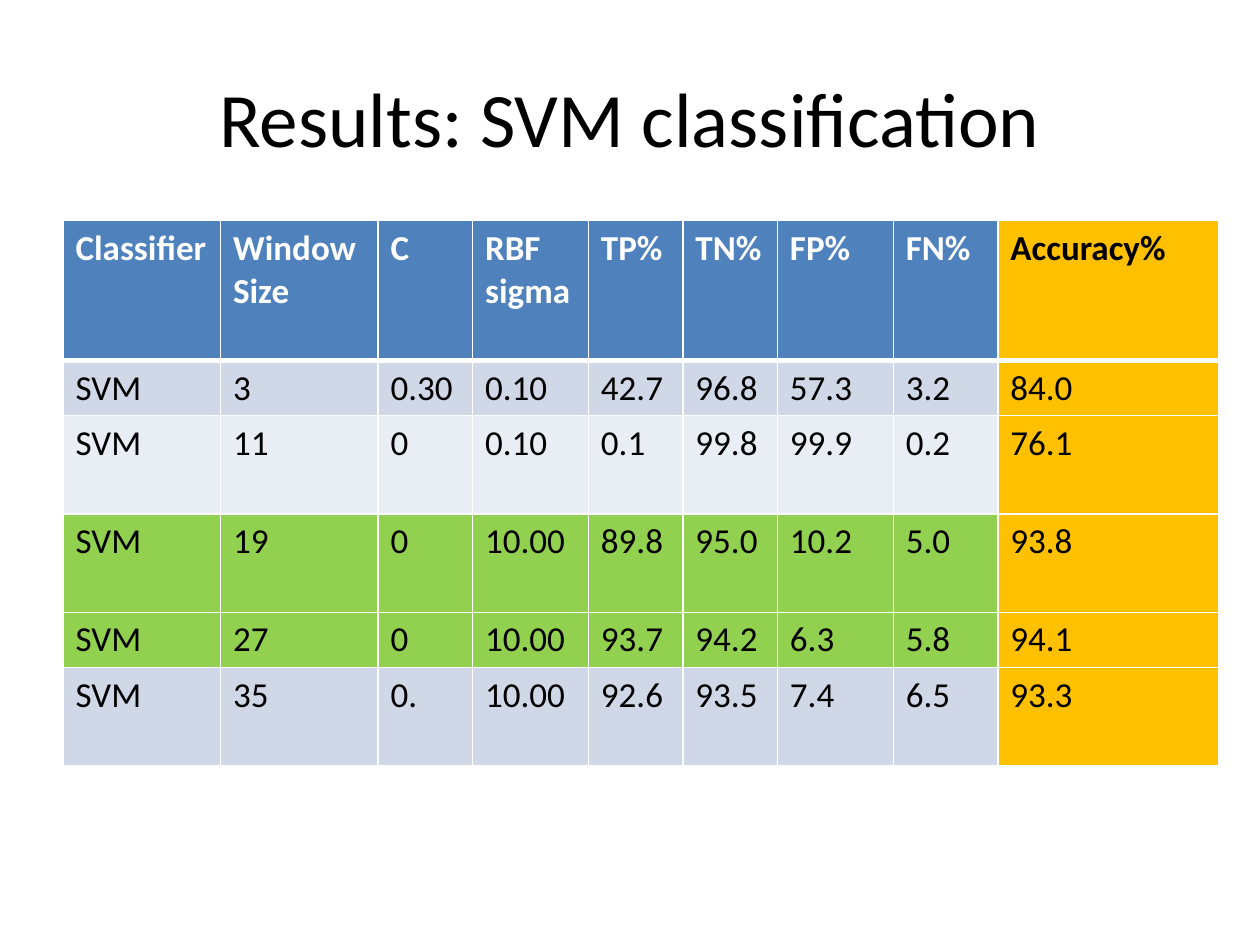
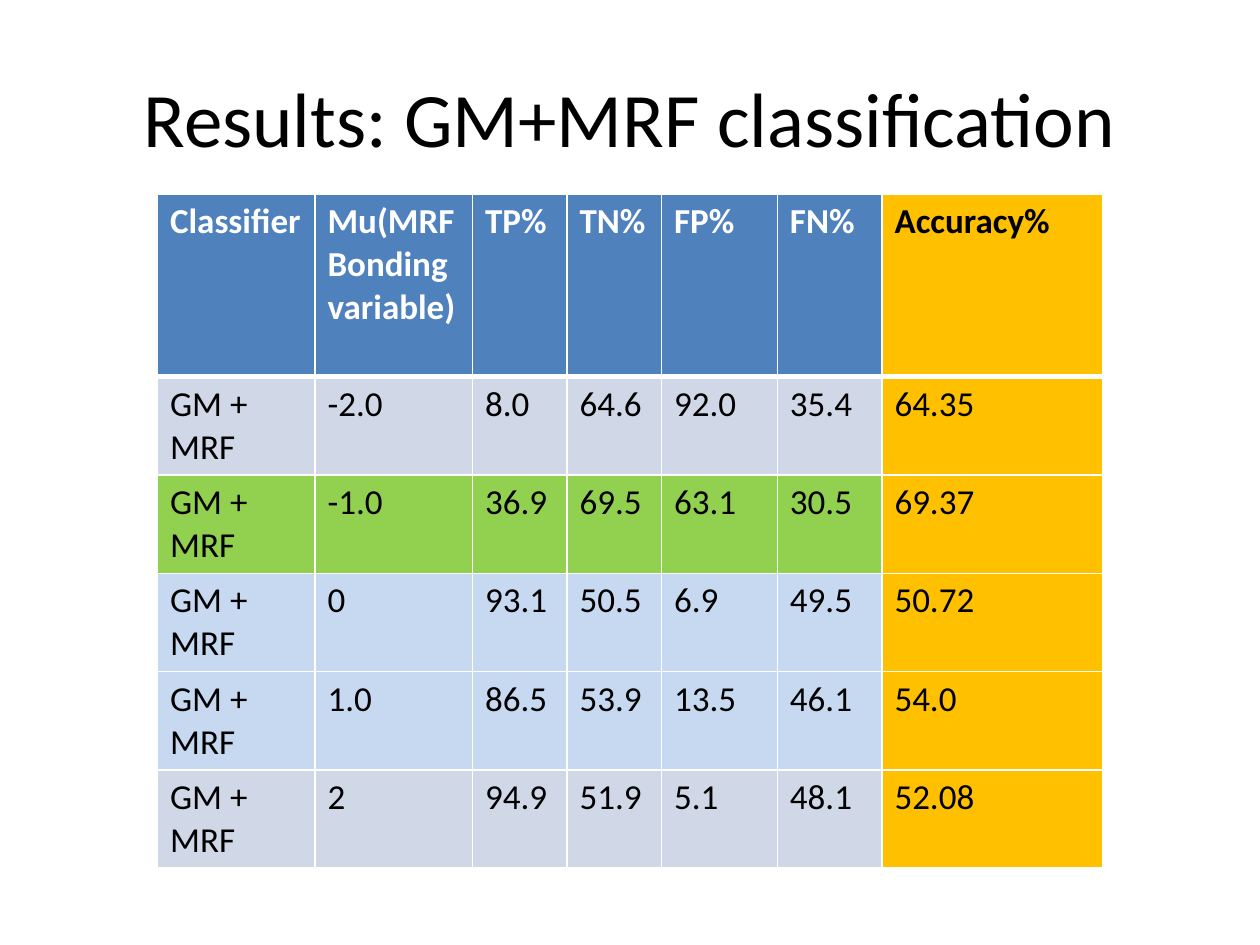
"""Build two slides of classification results, each a title over a table."""
import dataclasses

import lxml.etree
import pptx
import pptx.dml.color
import pptx.enum.text
import pptx.oxml.ns
import pptx.util
from pptx.util import Inches


@dataclasses.dataclass(frozen=True)
class Theme:
    font: str = "Calibri"
    title_size: int = 44
    cell_size: int = 20
    black: str = "000000"
    white: str = "FFFFFF"
    header: str = "4F81BD"
    accuracy: str = "FFC000"
    band_dark: str = "D0D8E8"
    band_light: str = "E9EDF4"
    best: str = "92D050"
    pale_blue: str = "C6D9F1"
    grid_width: float = 1
    header_rule_width: float = 3


theme = Theme()


def set_font(paragraph, size, color, bold=False):
    paragraph.font.name = theme.font
    paragraph.font.size = pptx.util.Pt(size)
    paragraph.font.bold = bold
    paragraph.font.color.rgb = pptx.dml.color.RGBColor.from_string(color)


def add_border(cell, side, width):
    properties = cell._tc.get_or_add_tcPr()
    line = lxml.etree.SubElement(properties, pptx.oxml.ns.qn(f"a:ln{side}"), w=str(pptx.util.Pt(width)))
    fill = lxml.etree.SubElement(line, pptx.oxml.ns.qn("a:solidFill"))
    lxml.etree.SubElement(fill, pptx.oxml.ns.qn("a:srgbClr"), val=theme.white)


column_widths = {
    "Classifier": 1.25, "Window Size": 1.25, "Mu(MRF Bonding variable)": 1.25,
    "C": 0.75, "RBF sigma": 0.92, "TP%": 0.75, "TN%": 0.75,
    "FP%": 0.92, "FN%": 0.83, "Accuracy%": 1.75,
}
rates = ["TP%", "TN%", "FP%", "FN%", "Accuracy%"]

results = [
    {
        "title": "Results: SVM classification",
        "left": 0.5, "top": 1.75,
        "classifier": "SVM",
        "headings": ["Classifier", "Window Size", "C", "RBF sigma", *rates],
        "row_heights": [1.11, 0.44, 0.78, 0.78, 0.44, 0.78],
        "row_fills": [theme.band_dark, theme.band_light, theme.best, theme.best, theme.band_dark],
        "values": [
            ["3", "0.30", "0.10", "42.7", "96.8", "57.3", "3.2", "84.0"],
            ["11", "0", "0.10", "0.1", "99.8", "99.9", "0.2", "76.1"],
            ["19", "0", "10.00", "89.8", "95.0", "10.2", "5.0", "93.8"],
            ["27", "0", "10.00", "93.7", "94.2", "6.3", "5.8", "94.1"],
            ["35", "0.", "10.00", "92.6", "93.5", "7.4", "6.5", "93.3"],
        ],
    },
    {
        "title": "Results: GM+MRF classification",
        "left": 1.25, "top": 1.54,
        "classifier": "GM + MRF",
        "headings": ["Classifier", "Mu(MRF Bonding variable)", *rates],
        "row_heights": [1.45] + [0.78] * 5,
        "row_fills": [theme.band_dark, theme.best, theme.pale_blue, theme.pale_blue, theme.band_dark],
        "values": [
            ["-2.0", "8.0", "64.6", "92.0", "35.4", "64.35"],
            ["-1.0", "36.9", "69.5", "63.1", "30.5", "69.37"],
            ["0", "93.1", "50.5", "6.9", "49.5", "50.72"],
            ["1.0", "86.5", "53.9", "13.5", "46.1", "54.0"],
            ["2", "94.9", "51.9", "5.1", "48.1", "52.08"],
        ],
    },
]

presentation = pptx.Presentation()
presentation.slide_width = Inches(10)
presentation.slide_height = Inches(7.5)
blank_layout = presentation.slide_layouts[6]

for result in results:
    slide = presentation.slides.add_slide(blank_layout)

    title = slide.shapes.add_textbox(Inches(0.5), Inches(0.3), Inches(9), Inches(1.25))
    title.text_frame.word_wrap = True
    title.text_frame.vertical_anchor = pptx.enum.text.MSO_ANCHOR.MIDDLE
    title_paragraph = title.text_frame.paragraphs[0]
    title_paragraph.text = result["title"]
    title_paragraph.alignment = pptx.enum.text.PP_ALIGN.CENTER
    set_font(title_paragraph, theme.title_size, theme.black)

    headings = result["headings"]
    rows = [headings] + [[result["classifier"], *values] for values in result["values"]]
    row_fills = [theme.header, *result["row_fills"]]
    widths = [column_widths[heading] for heading in headings]
    table = slide.shapes.add_table(
        len(rows), len(headings), Inches(result["left"]), Inches(result["top"]),
        Inches(sum(widths)), Inches(sum(result["row_heights"])),
    ).table
    table.horz_banding = False
    for column, width in zip(table.columns, widths):
        column.width = Inches(width)

    for row_index, texts in enumerate(rows):
        table.rows[row_index].height = Inches(result["row_heights"][row_index])
        is_header = row_index == 0
        top_width = theme.header_rule_width if row_index == 1 else theme.grid_width
        bottom_width = theme.header_rule_width if is_header else theme.grid_width
        for column_index, text in enumerate(texts):
            cell = table.cell(row_index, column_index)
            is_accuracy = headings[column_index] == "Accuracy%"
            for side, width in zip("LRTB", (theme.grid_width, theme.grid_width, top_width, bottom_width)):
                add_border(cell, side, width)
            cell.fill.solid()
            cell_color = theme.accuracy if is_accuracy else row_fills[row_index]
            cell.fill.fore_color.rgb = pptx.dml.color.RGBColor.from_string(cell_color)
            paragraph = cell.text_frame.paragraphs[0]
            paragraph.text = text
            text_color = theme.white if is_header and not is_accuracy else theme.black
            set_font(paragraph, theme.cell_size, text_color, bold=is_header)

presentation.save("out.pptx")
